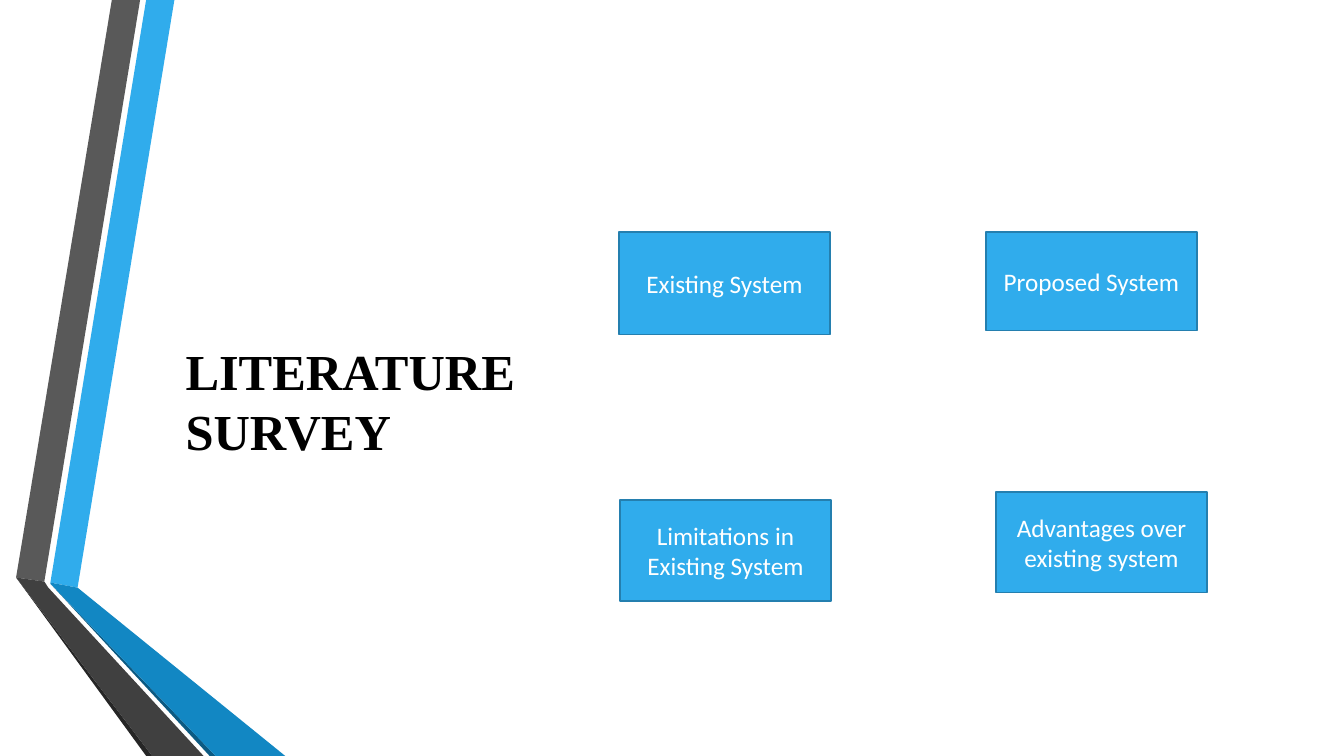
"""Build the Literature Survey slide with its folded ribbons and four topic boxes."""
from pptx import Presentation
from pptx.dml.color import RGBColor
from pptx.enum.shapes import MSO_SHAPE
from pptx.enum.text import MSO_ANCHOR, MSO_AUTO_SIZE, PP_ALIGN
from pptx.util import Inches, Pt

RECTANGLE = MSO_SHAPE.RECTANGLE
TOP, MIDDLE = MSO_ANCHOR.TOP, MSO_ANCHOR.MIDDLE
LEFT, CENTER = PP_ALIGN.LEFT, PP_ALIGN.CENTER
GROW = MSO_AUTO_SIZE.SHAPE_TO_FIT_TEXT
TITLE_ONLY = 5

RIBBONS = [
    ("30ACEC", [(0.5, 5.78), (0.77, 5.83), (1.73, 0), (1.45, 0)]),
    ("595959", [(1.39, 0), (1.11, 0), (0.16, 5.73), (0.44, 5.77)]),
    ("262626", [(0.16, 5.73), (1.45, 7.5), (1.51, 7.5)]),
    ("0C5A82", [(0.5, 5.79), (2.08, 7.5), (2.14, 7.5)]),
    ("1287C3", [(0.5, 5.79), (2.14, 7.5), (2.83, 7.5), (0.77, 5.83), (0.5, 5.78)]),
    ("404040", [(2.02, 7.5), (0.48, 5.83), (0.44, 5.77), (0.16, 5.73), (1.51, 7.5)]),
]
BOX_WIDTH = 2.09
TOPICS = [
    ("Existing System", 6.14, 2.3, 1.02),
    ("Proposed System", 9.78, 2.3, 0.98),
    ("Limitations in Existing System", 6.15, 4.96, 1),
    ("Advantages over existing system", 9.88, 4.88, 1),
]


def paint(color_format, color):
    color_format.rgb = RGBColor.from_string(color)


def fill_shape(shape, color):
    shape.shadow.inherit = False
    shape.fill.solid()
    paint(shape.fill.fore_color, color)


presentation = Presentation()
presentation.slide_width = Inches(13.33)
presentation.slide_height = Inches(7.5)
slide = presentation.slides.add_slide(presentation.slide_layouts[TITLE_ONLY])

for color, points in RIBBONS:
    corners = [(Inches(x), Inches(y)) for x, y in points]
    builder = slide.shapes.build_freeform(*corners[0])
    builder.add_line_segments(corners[1:], close=True)
    ribbon = builder.convert_to_shape()
    fill_shape(ribbon, color)
    ribbon.line.fill.background()

for topic, left, top, height in TOPICS:
    box = slide.shapes.add_shape(
        RECTANGLE, Inches(left), Inches(top), Inches(BOX_WIDTH), Inches(height))
    fill_shape(box, "30ACEC")
    paint(box.line.color, "247FAF")
    box.line.width = Pt(1.25)
    box.text_frame.text = topic
    box.text_frame.word_wrap = True
    box.text_frame.vertical_anchor = MIDDLE
    paragraph = box.text_frame.paragraphs[0]
    paragraph.alignment = CENTER
    paragraph.font.name = "Calibri"
    paragraph.font.size = Pt(18)
    paint(paragraph.font.color, "FFFFFF")

title = slide.shapes.title
title.left, title.top = Inches(1.74), Inches(3.32)
title.width, title.height = Inches(4.61), Inches(1.31)
title.text_frame.text = "LITERATURE SURVEY"
title.text_frame.word_wrap = True
title.text_frame.auto_size = GROW
title.text_frame.vertical_anchor = TOP
paragraph = title.text_frame.paragraphs[0]
paragraph.alignment = LEFT
paragraph.font.name = "Times New Roman"
paragraph.font.size = Pt(36)
paragraph.font.bold = True
paint(paragraph.font.color, "000000")

presentation.save("out.pptx")
